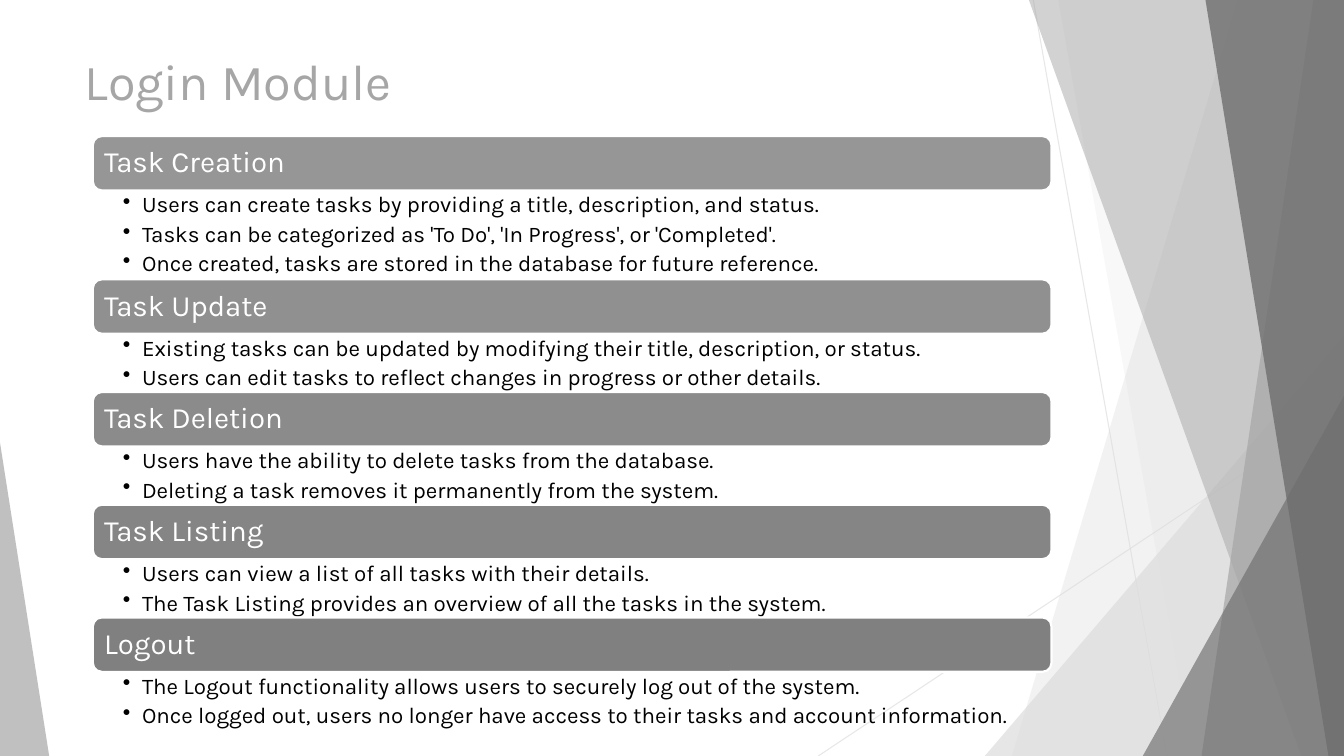
from lxml import etree
from pptx import Presentation
from pptx.dml.color import RGBColor
from pptx.enum.shapes import MSO_CONNECTOR, MSO_SHAPE
from pptx.enum.text import MSO_ANCHOR as ANCHOR, PP_ALIGN as ALIGN
from pptx.oxml.ns import qn
from pptx.util import Cm, Pt

FONT = "Karla"
WHITE = RGBColor(0xFF, 0xFF, 0xFF)
BLACK = RGBColor(0x00, 0x00, 0x00)
PALE = RGBColor(0xDD, 0xDD, 0xDD)
GREY = RGBColor(0xA6, 0xA6, 0xA6)
DARK = RGBColor(0x6E, 0x6E, 0x6E)
HEADING_SHADE, SHADE_STEP = 150, 5.5

WIDTH, HEIGHT = 33.87, 19.05
HEADING_H = 1.37
BODY_HEIGHTS = {2: 1.47, 3: 2.24}

RAYS = [((26.04, 0), (29.41, HEIGHT)), ((WIDTH, 10.24), (20.62, HEIGHT))]

BACK_BANDS = [(31.19, 25.5, PALE, 36), (26.67, 30.05, PALE, 20)]
FRONT_BANDS = [(25.93, 32.79, GREY, 50), (33.1, 30.28, GREY, 70), (30.38, 33.48, DARK, 80)]

SECTIONS = [
    ("Task Creation", [
        "Users can create tasks by providing a title, description, and status.",
        "Tasks can be categorized as 'To Do', 'In Progress', or 'Completed'.",
        "Once created, tasks are stored in the database for future reference.",
    ]),
    ("Task Update", [
        "Existing tasks can be updated by modifying their title, description, or status.",
        "Users can edit tasks to reflect changes in progress or other details.",
    ]),
    ("Task Deletion", [
        "Users have the ability to delete tasks from the database.",
        "Deleting a task removes it permanently from the system.",
    ]),
    ("Task Listing", [
        "Users can view a list of all tasks with their details.",
        "The Task Listing provides an overview of all the tasks in the system.",
    ]),
    ("Logout", [
        "The Logout functionality allows users to securely log out of the system.",
        "Once logged out, users no longer have access to their tasks and account information.",
    ]),
]


def set_alpha(sp, percent):
    """Make the solid colour of a shape or line partly transparent."""
    for clr in sp._element.spPr.iter(qn("a:srgbClr")):
        etree.SubElement(clr, qn("a:alpha")).set("val", str(percent * 1000))


def paint(sp, color, percent):
    """Give a borderless shape a transparent fill."""
    sp.shadow.inherit = False
    sp.fill.solid()
    sp.fill.fore_color.rgb = color
    sp.line.fill.background()
    set_alpha(sp, percent)


def add_ray(slide, start, end):
    """Draw one thin background line."""
    line = slide.shapes.add_connector(
        MSO_CONNECTOR.STRAIGHT, *(Cm(v) for v in (*start, *end)))
    line.line.color.rgb = PALE
    line.line.width = Pt(0.75)
    set_alpha(line, 70)
    etree.SubElement(line._element.spPr, qn("a:effectLst"))


def add_band(slide, top_x, bottom_x, color, percent):
    """Draw a full-height band that reaches the right edge of the slide."""
    fb = slide.shapes.build_freeform(Cm(top_x), Cm(0))
    fb.add_line_segments([(Cm(WIDTH), Cm(0)), (Cm(WIDTH), Cm(HEIGHT)),
                          (Cm(bottom_x), Cm(HEIGHT))])
    paint(fb.convert_to_shape(), color, percent)


def add_corner(slide, left, top, width, apex, color, percent):
    """Draw a right triangle standing on the bottom edge."""
    sp = slide.shapes.add_shape(MSO_SHAPE.ISOSCELES_TRIANGLE, Cm(left), Cm(top),
                                Cm(width), Cm(HEIGHT - top))
    sp.adjustments[0] = apex
    paint(sp, color, percent)


def add_backdrop(slide):
    """Layer the rays, bands and corners from back to front."""
    for ray in RAYS:
        add_ray(slide, *ray)
    for band in BACK_BANDS:
        add_band(slide, *band)
    add_corner(slide, WIDTH - 9.05, 8.46, 9.05, 1, PALE, 72)
    for band in FRONT_BANDS:
        add_band(slide, *band)
    add_corner(slide, WIDTH - 5.07, 9.98, 5.07, 1, DARK, 66)
    add_corner(slide, 0, 11.15, 1.24, 0, GREY, 70)


def set_frame(sp, anchor, left, top, right, bottom):
    """Set wrapping, anchor and insets, and return the text frame."""
    tf = sp.text_frame
    tf.word_wrap = True
    tf.vertical_anchor = anchor
    tf.margin_left, tf.margin_top = Cm(left), Cm(top)
    tf.margin_right, tf.margin_bottom = Cm(right), Cm(bottom)
    return tf


def add_run(p, text, size, color):
    """Add one left-aligned run to a paragraph."""
    p.alignment = ALIGN.LEFT
    r = p.add_run()
    r.text = text
    r.font.name, r.font.size = FONT, Pt(size)
    r.font.color.rgb = color


def add_title(slide, text, left, top, width, height):
    """Place the slide title."""
    sp = slide.shapes.add_textbox(Cm(left), Cm(top), Cm(width), Cm(height))
    tf = set_frame(sp, ANCHOR.TOP, 0.25, 0.13, 0.25, 0.13)
    add_run(tf.paragraphs[0], text, 36, GREY)


def add_heading(slide, text, color, left, top, width):
    """Place one rounded section heading."""
    sp = slide.shapes.add_shape(MSO_SHAPE.ROUNDED_RECTANGLE, Cm(left), Cm(top),
                                Cm(width), Cm(HEADING_H))
    sp.shadow.inherit = False
    sp.fill.solid()
    sp.fill.fore_color.rgb = color
    sp.line.color.rgb = WHITE
    sp.line.width = Pt(1.5)
    p = set_frame(sp, ANCHOR.MIDDLE, 0.22, 0.23, 0.22, 0.23).paragraphs[0]
    p.line_spacing = 0.9
    add_run(p, text, 21, WHITE)


def add_bullets(slide, items, left, top, width, height):
    """Place the bulleted lines under a heading."""
    sp = slide.shapes.add_textbox(Cm(left), Cm(top), Cm(width), Cm(height))
    tf = set_frame(sp, ANCHOR.TOP, 0.76, 0.08, 0.41, 0.08)
    for i, item in enumerate(items):
        p = tf.add_paragraph() if i else tf.paragraphs[0]
        p.line_spacing = 0.9
        p.space_after = Pt(3.75)
        add_run(p, item, 16, BLACK)
        pPr = p._p.get_or_add_pPr()
        pPr.set("marL", str(Cm(0.48)))
        pPr.set("indent", str(-Cm(0.48)))
        etree.SubElement(pPr, qn("a:buChar")).set("char", "•")


def add_sections(slide, left, top, width):
    """Stack all headings with their bullets, each a shade darker."""
    for i, (heading, items) in enumerate(SECTIONS):
        shade = int(HEADING_SHADE - SHADE_STEP * i)
        add_heading(slide, heading, RGBColor(shade, shade, shade), left, top, width)
        top += HEADING_H
        height = BODY_HEIGHTS[len(items)]
        add_bullets(slide, items, left, top, width, height)
        top += height


def main():
    """Build and save the slide."""
    prs = Presentation()
    prs.slide_width, prs.slide_height = Cm(WIDTH), Cm(HEIGHT)
    slide = prs.slides.add_slide(prs.slide_layouts[6])
    add_backdrop(slide)
    add_title(slide, "Login Module", 1.88, 1.14, 23.88, 3.66)
    add_sections(slide, 2.34, 3.43, 24.16)
    prs.save("out.pptx")


if __name__ == "__main__":
    main()
